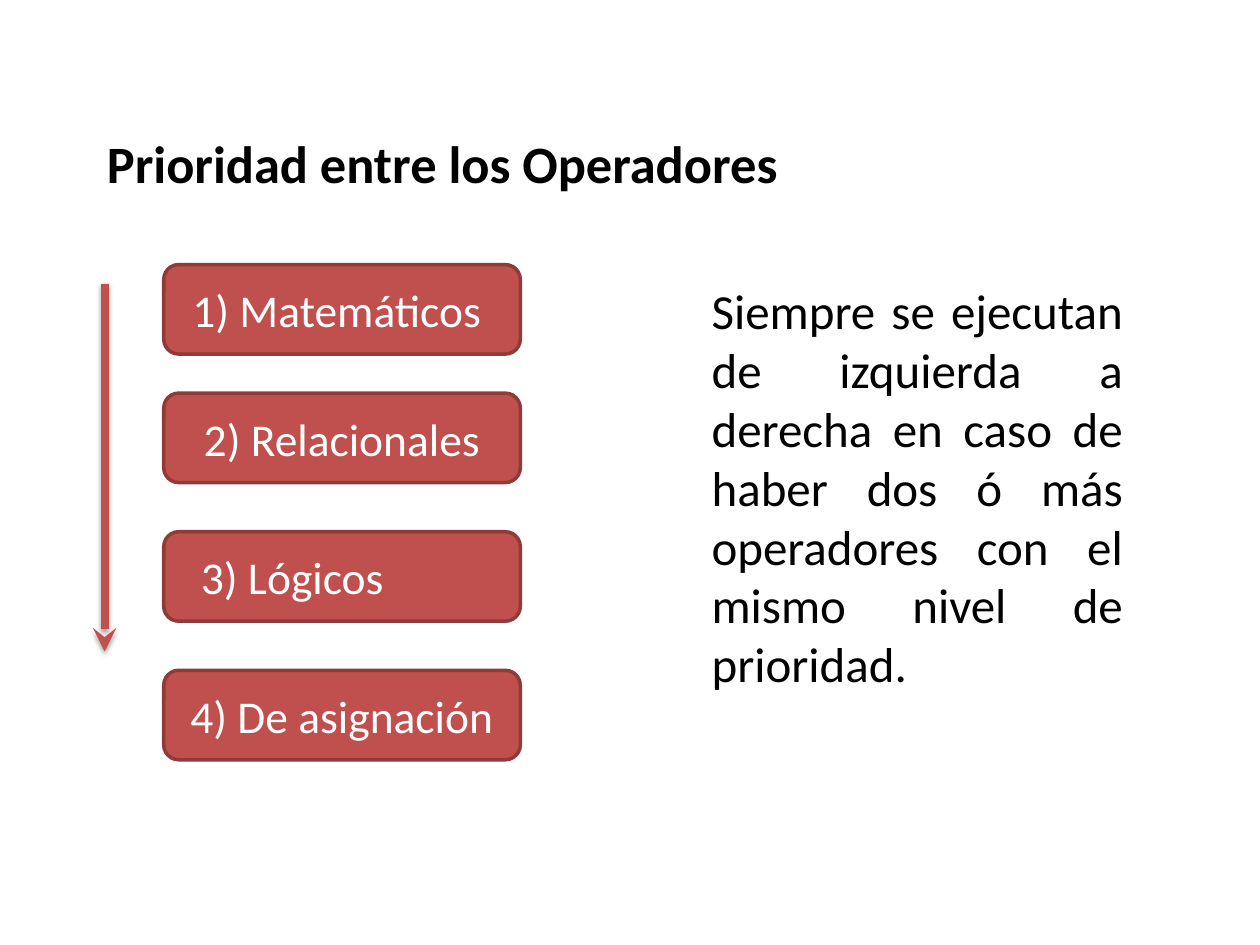
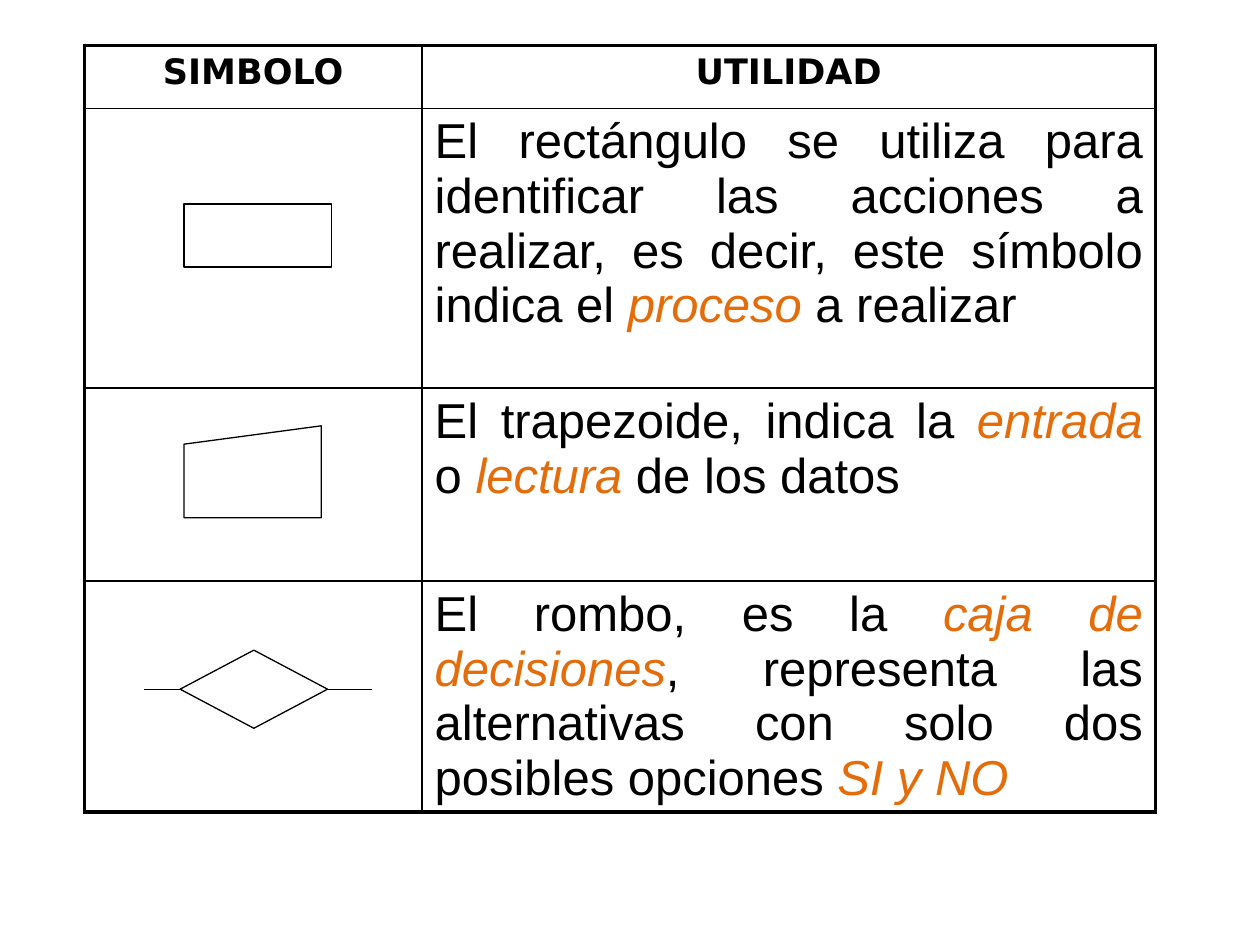
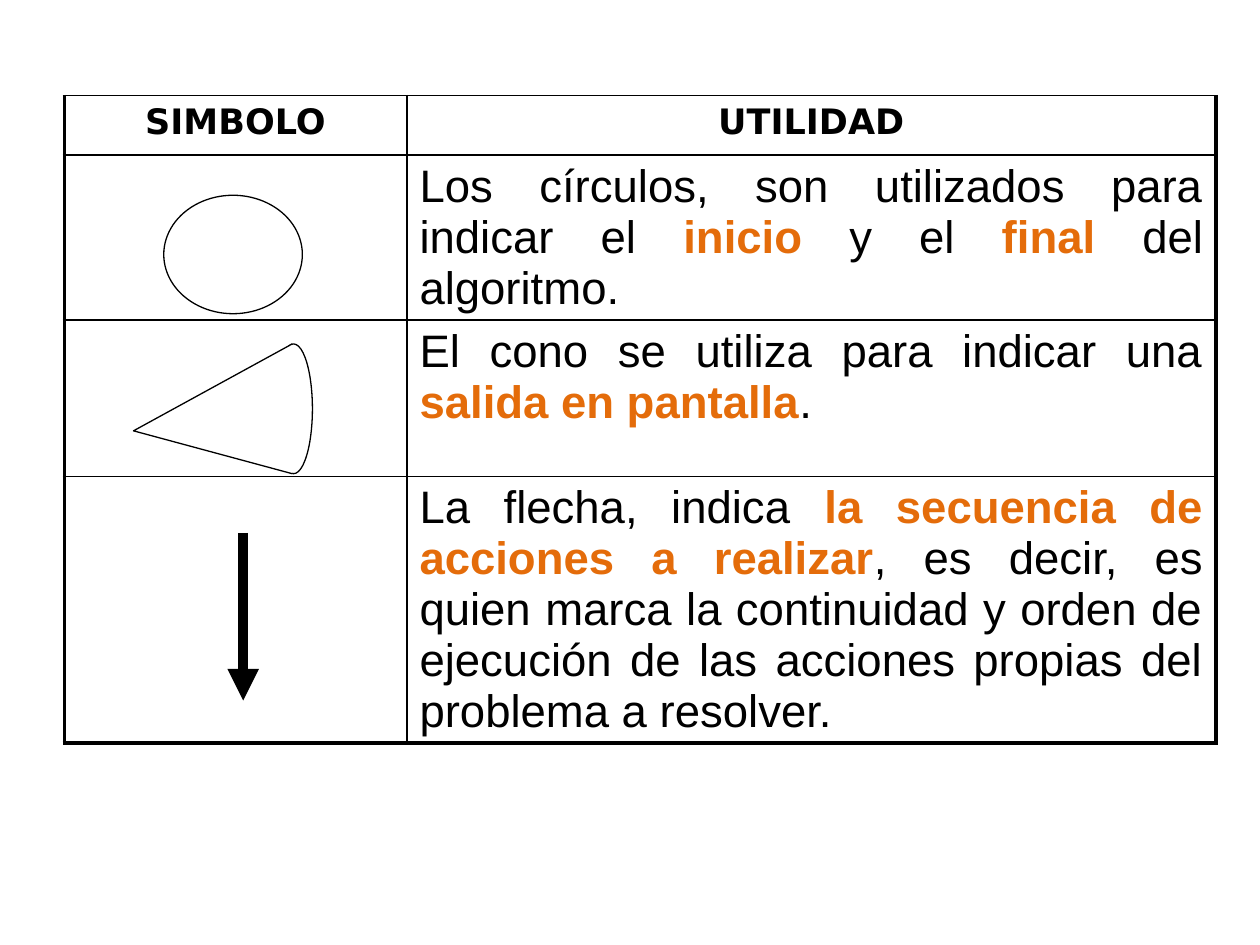
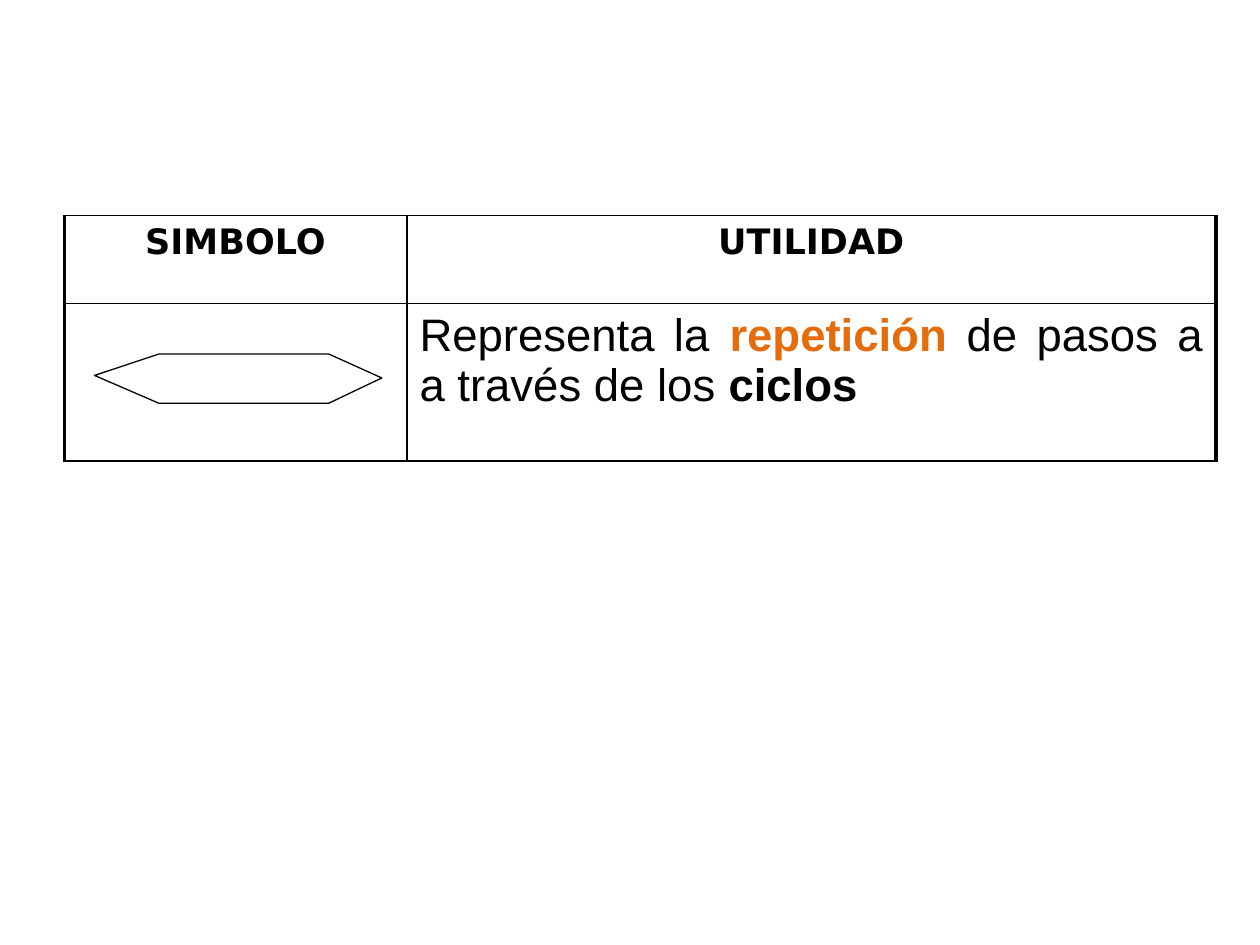
from dataclasses import dataclass
from typing import NamedTuple, Optional

from lxml.etree import SubElement
from pptx import Presentation
from pptx.dml.color import RGBColor
from pptx.enum.shapes import MSO_CONNECTOR, MSO_SHAPE
from pptx.enum.text import MSO_ANCHOR, MSO_AUTO_SIZE, PP_ALIGN
from pptx.oxml.ns import qn
from pptx.util import Emu, Inches, Pt

BLACK = RGBColor(0x00, 0x00, 0x00)
WHITE = RGBColor(0xFF, 0xFF, 0xFF)
RED = RGBColor(0xC0, 0x50, 0x4D)
DARK_RED = RGBColor(0x8E, 0x3B, 0x39)
ORANGE = RGBColor(0xE4, 0x6C, 0x0A)

SLIDE_W, SLIDE_H = Inches(10), Inches(7.5)
COLS, ROWS = 100, 75
HEAVY, NORMAL, THIN = 2.25, 1, 0.75

HEADER_FONT = {"name": "DejaVu Sans", "size": Pt(20)}
HEADINGS = ("SIMBOLO", "UTILIDAD")


class Box(NamedTuple):
    x: float
    y: float
    w: float
    h: float


class Span(NamedTuple):
    text: str
    color: RGBColor = BLACK
    bold: bool = False
    italic: bool = False


class Arrow(NamedTuple):
    start: tuple[float, float]
    end: tuple[float, float]
    color: RGBColor
    width: float
    head: Optional[str] = None


class Step(NamedTuple):
    text: str
    y: float
    align: PP_ALIGN = PP_ALIGN.CENTER
    inset: float = 1


@dataclass
class SymbolTable:
    box: Box
    col_widths: tuple[float, float]
    row_heights: list[float]
    uses: list[list[Span]]
    size: int
    top: float = NORMAL
    bottom: float = NORMAL


def col(n: float) -> Emu:
    return Emu(round(SLIDE_W * n / COLS))


def row(n: float) -> Emu:
    return Emu(round(SLIDE_H * n / ROWS))


def place(box: Box) -> tuple[Emu, Emu, Emu, Emu]:
    return col(box.x), row(box.y), col(box.w), row(box.h)


def italic(text: str) -> Span:
    return Span(text, ORANGE, italic=True)


def bold(text: str) -> Span:
    return Span(text, ORANGE, bold=True)


def write(p, spans: list[Span], font: dict, align: PP_ALIGN) -> None:
    p.alignment = align
    for span in spans:
        r = p.add_run()
        r.text = span.text
        for key, value in {**font, "bold": span.bold, "italic": span.italic}.items():
            setattr(r.font, key, value)
        r.font.color.rgb = span.color


def add_text(shapes, box: Box, span: Span, size: int):
    tb = shapes.add_textbox(*place(box))
    tf = tb.text_frame
    tf.word_wrap = True
    tf.auto_size = MSO_AUTO_SIZE.SHAPE_TO_FIT_TEXT
    write(tf.paragraphs[0], [span], {"name": "Calibri", "size": Pt(size)}, PP_ALIGN.JUSTIFY)
    return tb


def paint(sp, fill: RGBColor = WHITE, line: RGBColor = BLACK, width: float = THIN):
    sp.shadow.inherit = False
    sp.fill.solid()
    sp.fill.fore_color.rgb = fill
    sp.line.color.rgb = line
    sp.line.width = Pt(width)
    return sp


def add_symbol(shapes, kind: MSO_SHAPE, box: Box):
    return paint(shapes.add_shape(kind, *place(box)))


def add_outline(shapes, points: list[tuple[float, float]], close: bool):
    (x, y), *rest = points
    fb = shapes.build_freeform(col(x), row(y), scale=1.0)
    fb.add_line_segments([(col(x), row(y)) for x, y in rest], close=close)
    return paint(fb.convert_to_shape())


def add_line(shapes, arrow: Arrow):
    (x1, y1), (x2, y2) = arrow.start, arrow.end
    cx = shapes.add_connector(MSO_CONNECTOR.STRAIGHT, col(x1), row(y1), col(x2), row(y2))
    cx.line.color.rgb = arrow.color
    cx.line.width = Pt(arrow.width)
    spPr = cx._element.spPr
    if arrow.head:
        SubElement(spPr.find(qn("a:ln")), qn("a:tailEnd"), type=arrow.head)
    SubElement(spPr, qn("a:effectLst"))
    return cx


def add_shadow(cx, blur: float, dist: float, angle: int, alpha: int) -> None:
    effects = cx._element.spPr.find(qn("a:effectLst"))
    shadow = SubElement(effects, qn("a:outerShdw"), blurRad=str(Pt(blur)), dist=str(Pt(dist)),
                        dir=str(angle * 60000), rotWithShape="0")
    clr = SubElement(shadow, qn("a:srgbClr"), val=str(BLACK))
    SubElement(clr, qn("a:alpha"), val=str(alpha * 1000))


def add_step(shapes, step: Step) -> None:
    sp = shapes.add_shape(MSO_SHAPE.ROUNDED_RECTANGLE, *place(Box(13, step.y, 28.3, 7.1)))
    paint(sp, RED, DARK_RED, 2)
    tf = sp.text_frame
    tf.word_wrap = True
    tf.vertical_anchor = MSO_ANCHOR.MIDDLE
    tf.margin_left = col(step.inset)
    write(tf.paragraphs[0], [Span(step.text, WHITE)],
          {"name": "Calibri", "size": Pt(26)}, step.align)


def set_borders(cell, widths: dict[str, float]) -> None:
    tcPr = cell._tc.get_or_add_tcPr()
    for side, width in widths.items():
        ln = SubElement(tcPr, qn(f"a:ln{side}"), w=str(Pt(width)))
        fill = SubElement(ln, qn("a:solidFill"))
        SubElement(fill, qn("a:srgbClr"), val=str(BLACK))
    cell.fill.background()


def fill_cell(cell, spans: list[Span], font: dict, align: PP_ALIGN) -> None:
    p = cell.text_frame.paragraphs[0]
    write(p, spans, font, align)
    before = SubElement(p._p.get_or_add_pPr(), qn("a:spcBef"))
    SubElement(before, qn("a:spcPct"), val="20000")


def add_symbol_table(shapes, spec: SymbolTable) -> None:
    count = len(spec.row_heights)
    table = shapes.add_table(count, 2, *place(spec.box)).table
    table.first_row = table.horz_banding = False
    for column, width in zip(table.columns, spec.col_widths):
        column.width = col(width)
    for i, height in enumerate(spec.row_heights):
        table.rows[i].height = row(height)
        for j in range(2):
            set_borders(table.cell(i, j), {
                "L": HEAVY if j == 0 else NORMAL,
                "R": HEAVY if j == 1 else NORMAL,
                "T": spec.top if i == 0 else NORMAL,
                "B": spec.bottom if i == count - 1 else NORMAL,
            })
    for j, heading in enumerate(HEADINGS):
        fill_cell(table.cell(0, j), [Span(heading, bold=True)], HEADER_FONT, PP_ALIGN.CENTER)
    for i, spans in enumerate(spec.uses, start=1):
        fill_cell(table.cell(i, 1), spans, {"name": "Arial", "size": Pt(spec.size)},
                  PP_ALIGN.JUSTIFY)


STEPS = [
    Step("1) Matemáticos ", 21),
    Step("2) Relacionales", 31.2),
    Step("3) Lógicos", 42.2, PP_ALIGN.LEFT, 2.6),
    Step("4) De asignación", 53.2),
]

ACTION_SYMBOLS = SymbolTable(
    Box(6.7, 3.6, 85, 59.5), (26.8, 58.2), [5, 22.2, 15.3, 17],
    [
        [Span("El rectángulo se utiliza para identificar las acciones a realizar, es decir, "
              "este símbolo indica el "), italic("proceso"), Span(" a realizar ")],
        [Span("El trapezoide, indica la "), italic("entrada"), Span(" o "),
         italic("lectura"), Span(" de los datos")],
        [Span("El rombo, es la "), italic("caja de decisiones"),
         Span(", representa las alternativas con solo dos posibles opciones "),
         italic("SI y NO ")],
    ],
    28, top=HEAVY, bottom=HEAVY)

FLOW_SYMBOLS = SymbolTable(
    Box(5.1, 7.6, 91.4, 49.4), (27.2, 64.2), [4.7, 12.5, 12.4, 19.8],
    [
        [Span("Los círculos, son utilizados para indicar el "), bold("inicio"),
         Span(" y el "), bold("final"), Span(" del algoritmo.")],
        [Span("El cono se utiliza para indicar una "), bold("salida en pantalla"), Span(".")],
        [Span("La flecha, indica "), bold("la secuencia de acciones a realizar"),
         Span(", es decir, es quien marca la continuidad y orden de ejecución de las "
              "acciones propias del problema a resolver.")],
    ],
    26, bottom=HEAVY)

LOOP_SYMBOLS = SymbolTable(
    Box(5.1, 17.1, 91.4, 19.5), (27.2, 64.2), [7, 12.5],
    [[Span("Representa la "), bold("repetición"), Span(" de pasos a a través de los "),
      Span("ciclos", bold=True)]],
    26)

HEXAGON = [(12.6, 28.1), (26.1, 28.1), (30.3, 30), (26.1, 32), (12.6, 32), (7.5, 29.8)]
CONE_SIDES = [(23.2, 27.3), (10.6, 34.2), (23.2, 37.6)]


def draw_priority(shapes) -> None:
    title = add_text(shapes, Box(7.5, 9.9, 78.7, 6.1),
                     Span("Prioridad entre los Operadores", bold=True), 30)
    pPr = title.text_frame.paragraphs[0]._p.get_or_add_pPr()
    for key, indent in {"marL": 5, "indent": -5}.items():
        pPr.set(key, str(col(indent)))
    for step in STEPS:
        add_step(shapes, step)
    add_text(shapes, Box(55.5, 21.8, 34.6, 34),
             Span("Siempre se ejecutan de izquierda a derecha en caso de haber dos ó más "
                  "operadores con el mismo nivel de prioridad."), 28)
    arrow = add_line(shapes, Arrow((8.3, 22.5), (8.3, 51.7), RED, 4.5, "stealth"))
    add_shadow(arrow, blur=3.1, dist=1.6, angle=90, alpha=38)


def draw_actions(shapes) -> None:
    add_symbol_table(shapes, ACTION_SYMBOLS)
    add_symbol(shapes, MSO_SHAPE.RECTANGLE, Box(14.6, 16.2, 11.7, 5))
    decision = shapes.add_group_shape().shapes
    rhombus = add_symbol(decision, MSO_SHAPE.FLOWCHART_DECISION, Box(14.3, 51.6, 11.7, 6.2))
    for site, x1, x2 in ((3, 26, 29.5), (1, 14.3, 11.4)):
        branch = add_line(decision, Arrow((x1, 54.7), (x2, 54.7), BLACK, THIN))
        branch.begin_connect(rhombus, site)
    add_symbol(shapes, MSO_SHAPE.FLOWCHART_MANUAL_INPUT, Box(14.6, 33.8, 10.9, 7.3))


def draw_flow(shapes) -> None:
    add_symbol_table(shapes, FLOW_SYMBOLS)
    add_symbol(shapes, MSO_SHAPE.OVAL, Box(13, 15.5, 11, 9.4))
    cone = shapes.add_group_shape().shapes
    add_symbol(cone, MSO_SHAPE.OVAL, Box(21.8, 27.3, 3, 10.3))
    add_outline(cone, CONE_SIDES, close=False)
    add_line(shapes, Arrow((19.3, 42.3), (19.3, 55.6), BLACK, 6, "triangle"))


def draw_loops(shapes) -> None:
    add_symbol_table(shapes, LOOP_SYMBOLS)
    add_outline(shapes, HEXAGON, close=True)


def main() -> None:
    prs = Presentation()
    prs.slide_width, prs.slide_height = SLIDE_W, SLIDE_H
    for draw in (draw_priority, draw_actions, draw_flow, draw_loops):
        s = prs.slides.add_slide(prs.slide_layouts[6])
        draw(s.shapes)
    prs.save("out.pptx")


if __name__ == "__main__":
    main()
